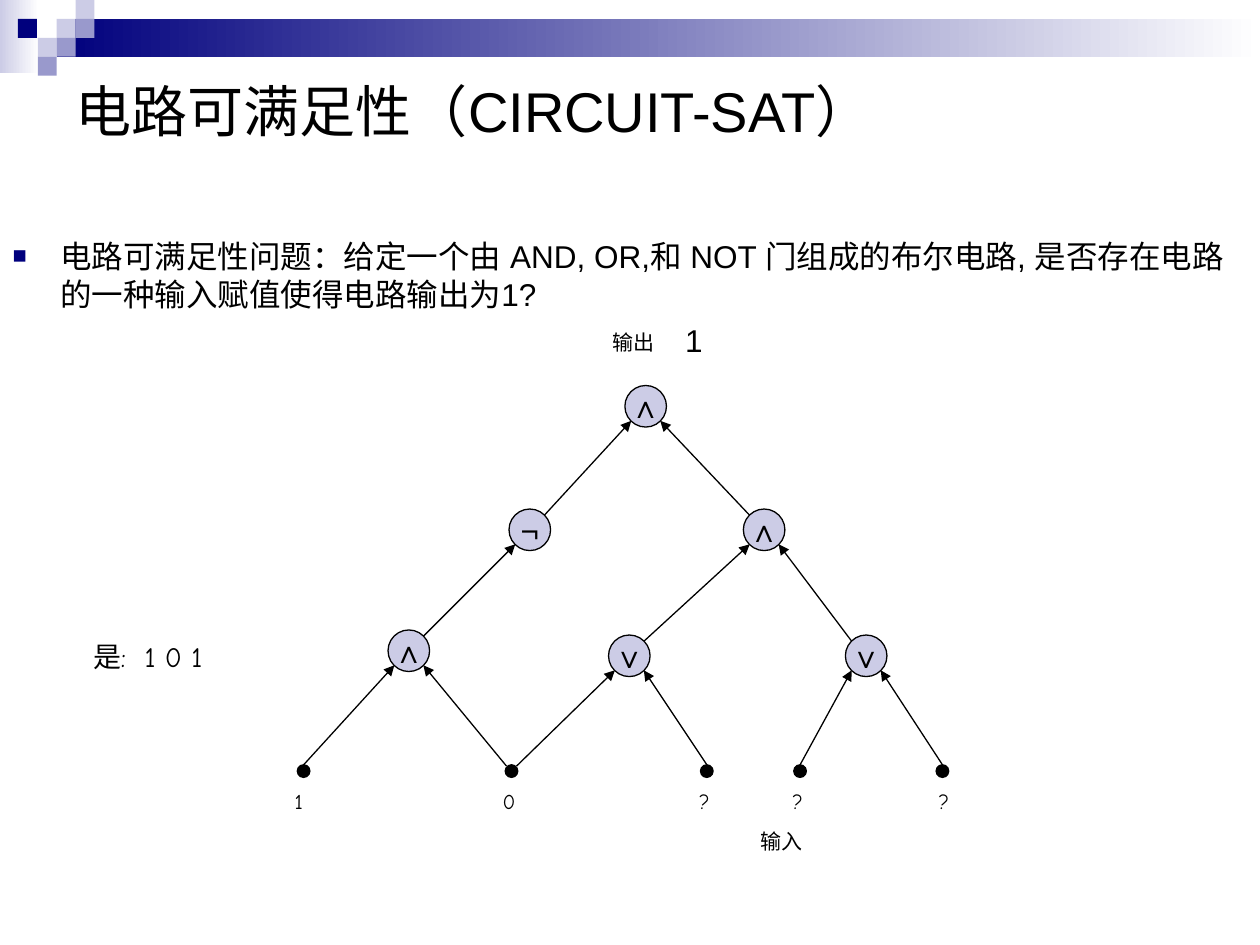
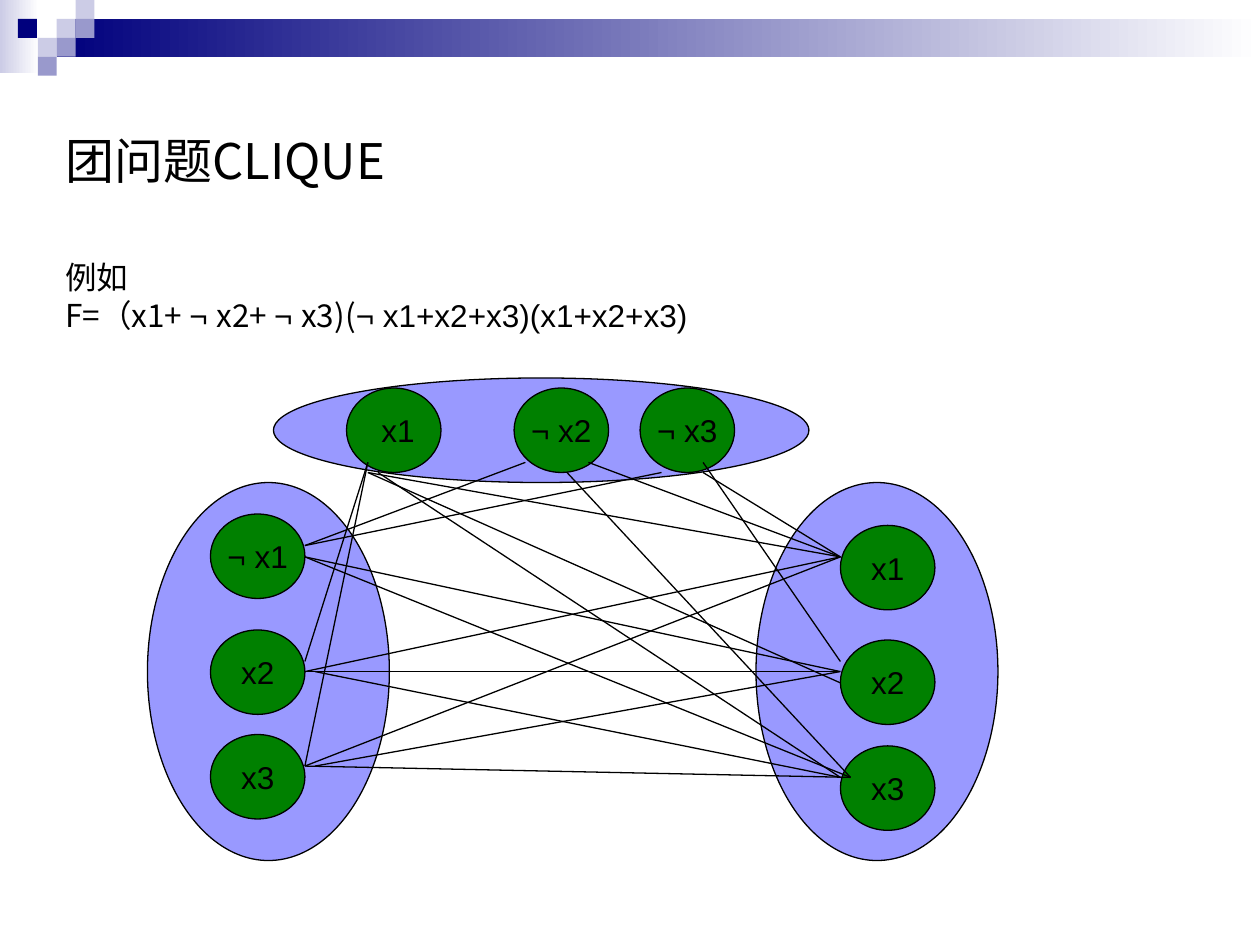
from lxml.etree import SubElement as Sub
from pptx import Presentation
from pptx.dml.color import RGBColor as RGB
from pptx.enum.shapes import MSO_CONNECTOR as Link, MSO_SHAPE as Kind
from pptx.enum.text import MSO_ANCHOR as Anchor, MSO_AUTO_SIZE as Fit, PP_ALIGN as Align
from pptx.oxml.ns import qn
from pptx.util import Inches, Pt

BLACK = RGB(0, 0, 0)
WHITE = RGB(255, 255, 255)
NAVY = RGB(0, 0, 0x7D)
PALE = RGB(0xCC, 0xCC, 0xE6)
MID = RGB(0x99, 0x99, 0xCC)
LILAC = RGB(0x99, 0x99, 0xFF)
GREEN = RGB(0, 0x80, 0)

SANS, HAND, HAN = "Arial", "Comic Neue", "Noto Sans CJK SC"
GATE, DOT = 0.33, 0.1


# Shared helpers
def style(obj, **values):
    for name, value in values.items():
        setattr(obj, name, value)


def place(shape, *box):
    sides = ("left", "top", "width", "height")
    style(shape, **dict(zip(sides, map(Inches, box))))


def write(para, text, size, face):
    run = para.add_run()
    run.text = text
    style(run.font, size=Pt(size), name=face)
    run.font.color.rgb = BLACK
    Sub(run.font._element, qn("a:ea"), typeface=face)


def draw(slide, kind, box, fill, line=BLACK):
    """A list as fill gives a gradient from left to right."""
    shape = slide.shapes.add_shape(kind, *map(Inches, box))
    shape.shadow.inherit = False
    if isinstance(fill, list):
        shape.fill.gradient()
        shape.fill.gradient_angle = 0
        for stop, color in zip(shape.fill.gradient_stops, fill):
            stop.color.rgb = color
    else:
        shape.fill.solid()
        shape.fill.fore_color.rgb = fill
    if line is None:
        shape.line.fill.background()
    else:
        shape.line.color.rgb = line
        shape.line.width = Pt(0.75)
    return shape


def oval(slide, box, fill, text=""):
    shape = draw(slide, Kind.OVAL, box, fill)
    if text:
        frame = shape.text_frame
        style(frame, word_wrap=False, vertical_anchor=Anchor.MIDDLE)
        para = frame.paragraphs[0]
        para.alignment = Align.CENTER
        write(para, text, 18, SANS)


def join(slide, start, end, arrow=False):
    ends = map(Inches, (*start, *end))
    line = slide.shapes.add_connector(Link.STRAIGHT, *ends)
    line.line.color.rgb = BLACK
    line.line.width = Pt(0.75)
    if arrow:
        Sub(line.line._get_or_add_ln(), qn("a:headEnd"), type="triangle")
    Sub(line._element.spPr, qn("a:effectLst"))


def label(slide, box, lines, wrap=False):
    """Each line is a list of (text, size, face) runs."""
    frame = slide.shapes.add_textbox(*map(Inches, box)).text_frame
    style(frame, word_wrap=wrap, auto_size=Fit.SHAPE_TO_FIT_TEXT)
    for i, runs in enumerate(lines):
        para = frame.add_paragraph() if i else frame.paragraphs[0]
        for run in runs:
            write(para, *run)


def title(slide, box, *runs):
    shape = slide.shapes.title
    place(shape, *box)
    style(shape.text_frame, vertical_anchor=Anchor.MIDDLE, auto_size=Fit.NONE)
    para = shape.text_frame.paragraphs[0]
    para.alignment = Align.LEFT
    for run in runs:
        write(para, *run)


def bullet(shape, box, text):
    place(shape, *box)
    style(shape.text_frame, vertical_anchor=Anchor.TOP, auto_size=Fit.NONE)
    para = shape.text_frame.paragraphs[0]
    style(para, space_before=Pt(0), alignment=Align.LEFT)
    props = para._p.get_or_add_pPr()
    props.set("marL", str(Inches(0.38)))
    props.set("indent", str(-Inches(0.38)))
    tint = Sub(props, qn("a:buClr"))
    Sub(tint, qn("a:srgbClr"), val=str(NAVY))
    Sub(props, qn("a:buSzPct"), val="75000")
    Sub(props, qn("a:buChar"), char="■")
    write(para, text, 18, SANS)


def band(slide):
    """Top gradient band with its corner mosaic."""
    draw(slide, Kind.RECTANGLE, (0, 0, 0.31, 0.58), [PALE, WHITE], None)
    draw(slide, Kind.RECTANGLE, (0.45, 0.15, 9.55, 0.3), [NAVY, WHITE], None)
    tiles = [(3, 1, PALE), (4, 0, PALE), (4, 1, MID), (2, 2, PALE),
             (0.95, 1, NAVY), (3, 2, MID), (2, 3, MID)]
    side = 0.15
    for col, row, color in tiles:
        box = (col * side, row * side, side, side)
        draw(slide, Kind.RECTANGLE, box, color, None)


# Boolean circuit
def circuit(slide, left, top):
    gates = {"out": (2.96, 0.56, "∧"), "not": (2.04, 1.54, "¬"),
             "and": (3.9, 1.54, "∧"), "low": (1.08, 2.5, "∧"),
             "or1": (2.83, 2.54, "∨"), "or2": (4.71, 2.54, "∨")}
    leaves = [(0.36, 0.24, "1"), (2.01, 1.89, "0"), (3.56, 3.45, "?"),
              (4.3, 4.19, "?"), (5.43, 5.35, "?")]
    # Left and right input of each gate: a gate name or a leaf number
    inputs = {"out": ("not", "and"), "not": ("low",), "and": ("or1", "or2"),
              "low": (0, 1), "or1": (1, 2), "or2": (3, 4)}
    floor, near, far = top + 3.57, 0.05, 0.28

    for name, kids in inputs.items():
        x, y, _ = gates[name]
        for side, kid in enumerate(kids):
            start = (left + x + (near, far)[side], top + y + far)
            if kid in gates:
                kx, ky, _ = gates[kid]
                end = (left + kx + (far, near)[side], top + ky + near)
            else:
                # The shared leaf is met at its two upper corners
                shift = (0.04, -0.04)[side] if kid == 1 else 0
                middle = left + leaves[kid][0] + DOT / 2
                end = (middle + shift, floor + abs(shift) / 4)
            join(slide, start, end, arrow=True)

    for x, y, sign in gates.values():
        oval(slide, (left + x, top + y, GATE, GATE), PALE, sign)
    for x, tag, text in leaves:
        oval(slide, (left + x, floor, DOT, DOT), BLACK)
        label(slide, (left + tag, top + 3.71, 0.29, 0.3), [[(text, 12, HAND)]])
    notes = [(2.76, 0.07, 0.54, 0.3, "输出", 12, HAND),
             (3.94, 4.03, 0.54, 0.3, "输入", 12, HAND),
             (-1.36, 2.53, 1.12, 0.37, "是:  1 0 1", 16, HAND),
             (3.34, 0, 0.34, 0.4, "1", 18, SANS)]
    for x, y, w, h, *run in notes:
        label(slide, (left + x, top + y, w, h), [[run]])


# Clause graph
def graph(slide, left, top):
    hulls = [(0.17, 0.83, 1.92, 3), (1.17, 0, 4.25, 0.83), (5, 0.83, 1.92, 3)]
    nodes = [(4.08, 0.08, "¬ x3"), (3.08, 0.08, "¬ x2"), (1.75, 0.08, " x1"),
             (0.67, 1.08, "¬ x1"), (0.67, 2, "x2"), (0.67, 2.83, "x3"),
             (5.67, 1.17, "x1"), (5.67, 2.08, "x2"), (5.67, 2.92, "x3")]
    # Each start point fans out to its end points
    fans = {(1.42, 1.33): [(3.17, 0.67), (4.25, 0.75)],
            (1.42, 1.42): [(5.67, 2.33), (5.75, 3.17)],
            (1.42, 2.33): [(5.67, 1.42), (5.67, 2.33)],
            (1.5, 2.33): [(5.67, 3.17)],
            (1.42, 3.08): [(5.67, 1.42), (5.75, 3.17)],
            (1.5, 3.08): [(5.67, 2.33)],
            (1.92, 0.67): [(1.42, 2.25), (1.42, 3.08)],
            (1.92, 0.75): [(5.67, 1.42), (5.67, 2.42)],
            (2, 0.75): [(5.67, 3.17)],
            (5.67, 1.42): [(4.58, 0.75), (3.67, 0.67)],
            (4.58, 0.67): [(5.67, 2.25)],
            (3.5, 0.75): [(5.75, 3.17)]}
    for x, y, w, h in hulls:
        oval(slide, (left + x, top + y, w, h), LILAC)
    for x, y, text in nodes:
        oval(slide, (left + x, top + y, 0.75, 0.67), GREEN, text)
    for (x, y), ends in fans.items():
        for ex, ey in ends:
            join(slide, (left + x, top + y), (left + ex, top + ey))


# Slides
def sat(deck):
    slide = deck.slides.add_slide(deck.slide_layouts[1])
    band(slide)
    title(slide, (0.5, 0.5, 9, 0.75), ("电路可满足性（CIRCUIT-SAT）", 32, SANS))
    bullet(slide.placeholders[1], (0, 1.83, 10, 5.6),
           "电路可满足性问题：给定一个由 AND, OR,和 NOT 门组成的布尔电路, "
           "是否存在电路的一种输入赋值使得电路输出为1?")
    circuit(slide, 2, 2.5)


def clique(deck):
    slide = deck.slides.add_slide(deck.slide_layouts[5])
    band(slide)
    title(slide, (0.42, 0.83, 8.75, 0.75),
          ("团问题CLIQUE", 28, HAN), (" ", 40, HAN))
    terms = [("F=（x1+ ", HAN), ("¬ ", SANS), ("x2+ ", HAN), ("¬ ", SANS),
             ("x3)(", HAN), ("¬ x1+x2+x3)(x1+x2+x3)", SANS)]
    label(slide, (0.42, 2, 9.33, 1.3),
          [[("例如", 18, HAN)], [(text, 18, face) for text, face in terms]],
          wrap=True)
    graph(slide, 1, 3)


def main():
    deck = Presentation()
    style(deck, slide_width=Inches(10), slide_height=Inches(7.5))
    sat(deck)
    clique(deck)
    deck.save("out.pptx")


if __name__ == "__main__":
    main()
